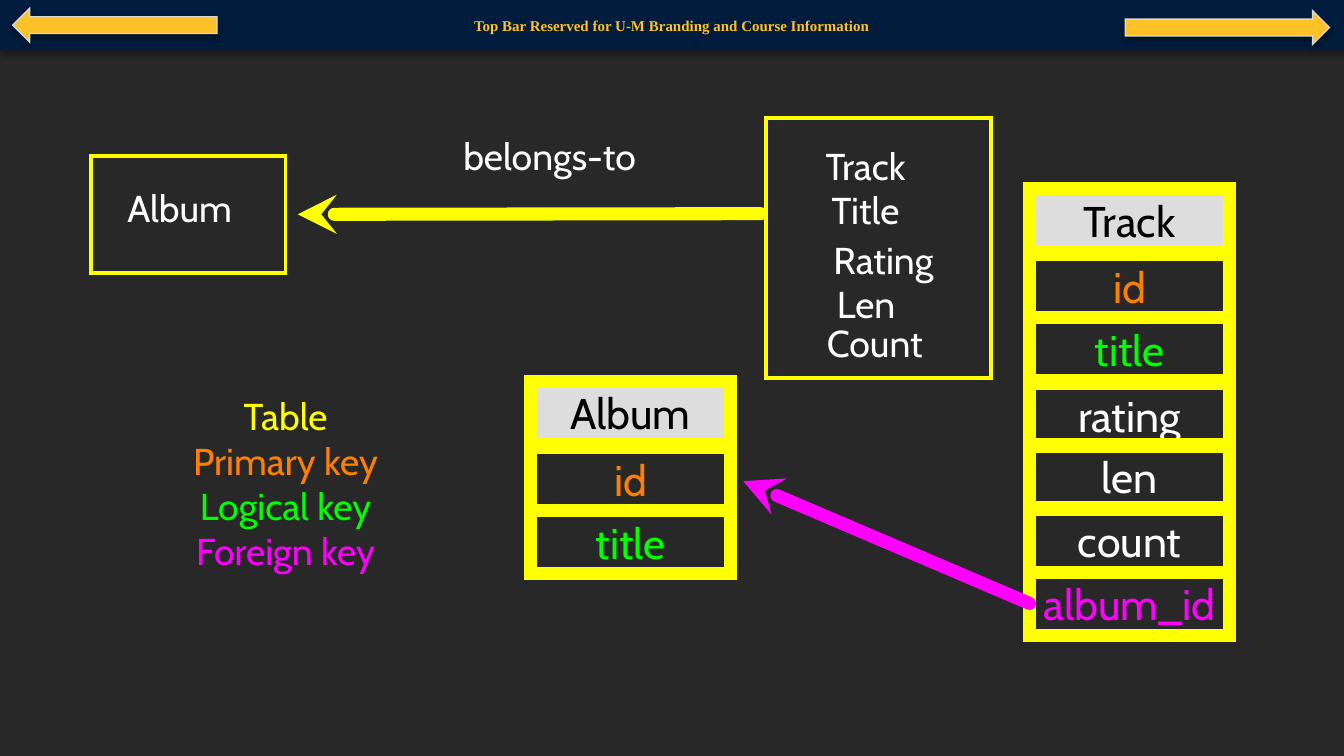
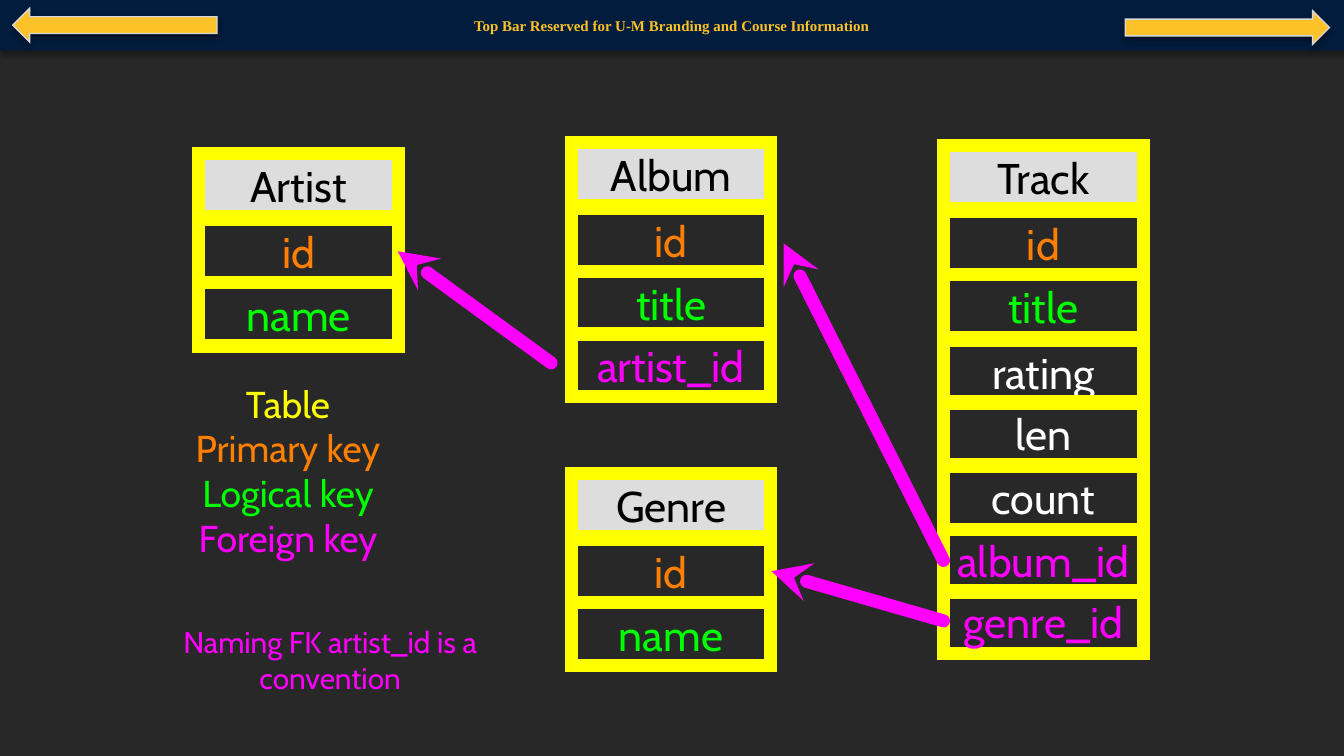
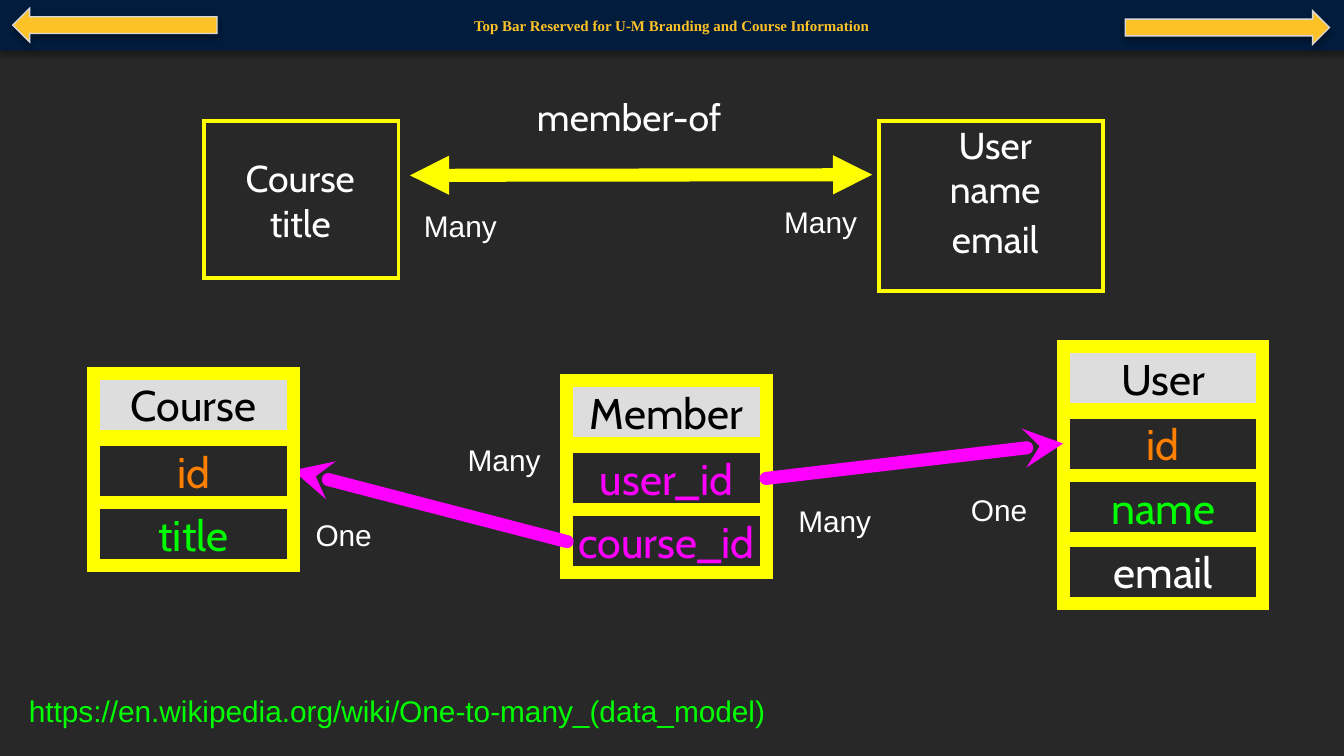
from dataclasses import dataclass

from lxml.etree import SubElement as Sub
from pptx import Presentation
from pptx.dml.color import RGBColor as RGB
from pptx.enum.shapes import MSO_CONNECTOR as Line, MSO_SHAPE as Shape
from pptx.enum.text import MSO_ANCHOR as Anchor, MSO_AUTO_SIZE as AutoSize, PP_ALIGN as Align
from pptx.oxml.ns import qn
from pptx.util import Inches, Pt


@dataclass(frozen=True)
class Theme:
    back: str = "282828"
    bar: str = "011C3C"
    gold: str = "FDC227"
    rim: str = "D8D8D8"
    head: str = "DDDDDD"
    black: str = "000000"
    plain: str = "FFFFFF"
    table: str = "FFFF00"
    primary: str = "FF7F00"
    logical: str = "00FF00"
    foreign: str = "FF00FF"
    font: str = "Cabin"
    note_font: str = "Arial"
    bar_font: str = "Times New Roman"
    cell_size: int = 23
    label_size: int = 20
    note_size: int = 16
    bar_size: int = 8
    thin: float = 2
    thick: float = 7


T = Theme()
prs = Presentation()
prs.slide_width = Inches(10)
prs.slide_height = prs.slide_width * 9 // 16
UNIT = prs.slide_width // 100


def put(s, at, lines, size, font=T.font, edge=0, fill=None, edge_color=T.table, shape=Shape.RECTANGLE):
    at = [round(v * UNIT) for v in at]
    if edge or fill:
        sp = s.shapes.add_shape(shape, *at)
        sp.shadow.inherit = False
        if fill:
            sp.fill.solid()
            sp.fill.fore_color.rgb = RGB.from_string(fill)
        else:
            sp.fill.background()
        if edge:
            sp.line.width = Pt(edge)
            sp.line.color.rgb = RGB.from_string(edge_color)
            Sub(sp.line._get_or_add_ln(), qn("a:miter"), lim="800000")
        else:
            sp.line.fill.background()
    else:
        sp = s.shapes.add_textbox(*at)
    tf = sp.text_frame
    tf.word_wrap = True
    tf.vertical_anchor = Anchor.MIDDLE
    tf.margin_left = tf.margin_right = tf.margin_top = tf.margin_bottom = 0
    for i, (text, color) in enumerate(lines):
        p = tf.add_paragraph() if i else tf.paragraphs[0]
        p.alignment = Align.CENTER
        r = p.add_run()
        r.text = text
        r.font.name = font
        r.font.size = Pt(size)
        r.font.color.rgb = RGB.from_string(color)
    return sp


def arrow(s, ends, color, **tips):
    c = s.shapes.add_connector(Line.STRAIGHT, *[round(v * UNIT) for v in ends])
    c.line.width = Pt(T.thick)
    c.line.color.rgb = RGB.from_string(color)
    ln = c.line._get_or_add_ln()
    ln.set("cap", "rnd")
    for tag, kind in tips.items():
        Sub(ln, qn(f"a:{tag}"), type=kind)
    Sub(c.element.spPr, qn("a:effectLst"))


belongs, music, members = [prs.slides.add_slide(prs.slide_layouts[6]) for _ in range(3)]

master = prs.slide_master
master.background.fill.solid()
master.background.fill.fore_color.rgb = RGB.from_string(T.back)
bar = put(belongs, (0, 0, 100, 3.75), [("Top Bar Reserved for U-M Branding and Course Information", T.gold)],
          T.bar_size, T.bar_font, fill=T.bar)
bar.text_frame.paragraphs[0].runs[0].font.bold = True
forward, back = [put(belongs, (x, y, 15.2, 2.5), [], T.bar_size, edge=0.75, fill=T.gold,
                     edge_color=T.rim, shape=Shape.RIGHT_ARROW) for x, y in ((83.72, 0.8), (0.95, 0.62))]
back.rotation = 180
for sp in (bar, forward, back):
    shadow = Sub(sp.element.spPr.find(qn("a:effectLst")), qn("a:outerShdw"),
                 blurRad=str(Pt(3.1)), dist=str(Pt(1.8)), dir="5400000", rotWithShape="0")
    Sub(Sub(shadow, qn("a:srgbClr"), val=T.black), qn("a:alpha"), val="35000")
    master.element.cSld.spTree.append(sp.element)

for s, at in (
    (belongs, (57, 8.8, 16.74, 19.34)),
    (belongs, (6.75, 11.6, 14.5, 8.7)),
    (members, (65.4, 9, 16.7, 12.65)),
    (members, (15.2, 9, 14.46, 11.7)),
):
    put(s, at, [], T.label_size, edge=T.thin)

for s, at, text in (
    (belongs, (8.52, 13.54, 9.7, 3.8), "Album"),
    (belongs, (33.1, 9.7, 15.6, 3.8), "belongs-to"),
    (belongs, (60.15, 10.4, 8.5, 3.8), "Track"),
    (belongs, (60.65, 13.7, 7.5, 3.8), "Title"),
    (belongs, (60.78, 17.4, 9.9, 3.8), "Rating"),
    (belongs, (61.25, 20.7, 6.4, 3.8), "Len"),
    (belongs, (61.1, 23.6, 8, 3.8), "Count"),
    (members, (17.5, 11.37, 9.7, 7), "Course\ntitle"),
    (members, (39.02, 6.8, 15.6, 3.8), "member-of"),
    (members, (69.8, 8.85, 8.5, 3.8), "User"),
    (members, (70.3, 12.1, 7.5, 3.8), "name"),
    (members, (69.1, 15.84, 9.9, 3.8), "email"),
):
    put(s, at, [(t, T.plain) for t in text.split("\n")], T.label_size)

arrow(belongs, (22.15, 15.95, 56.6, 15.9), T.table, headEnd="stealth")
arrow(members, (30.5, 13.05, 64.9, 13), T.table, headEnd="triangle", tailEnd="triangle")

ROW_TOPS = (0, 4.93, 9.62, 14.5, 19.06, 23.86, 28.54, 33.08)
FOUR_TOPS = (0, 4.9, 9.6, 14.42)
KEY_TOPS = (0, 4.9, 9.6, 14.2)
for s, tables, links in (
    (belongs,
     [(39.5, 28.36, ROW_TOPS, "Album id title"),
      (76.63, 14.03, ROW_TOPS, "Track id title rating len count album_id")],
     [(55.3, 35.8, 76.6, 44.9)]),
    (music,
     [(14.8, 11.43, ROW_TOPS, "Artist id name"),
      (42.52, 10.6, KEY_TOPS, "Album id title artist_id"),
      (42.52, 35.23, ROW_TOPS, "Genre id name"),
      (70.22, 10.83, ROW_TOPS, "Track id title rating len count album_id genre_id")],
     [(58.3, 18.1, 70.2, 41.7), (57.4, 42.5, 70.2, 46.2), (29.6, 18.7, 41, 27)]),
    (members,
     [(42.18, 28.3, ROW_TOPS, "Member user_id course_id"),
      (79.13, 25.77, FOUR_TOPS, "User id name email")],
     [(21.8, 35, 42.2, 40.3), (79.1, 33, 57, 35.6)]),
    (members, [(6.98, 27.77, ROW_TOPS, "Course id title")], []),
):
    for x, y, tops, names in tables:
        for i, (top, name) in enumerate(zip(tops, names.split())):
            if i == 0:
                color = T.black
            elif name == "id":
                color = T.primary
            elif name.endswith("_id"):
                color = T.foreign
            elif name in ("title", "name"):
                color = T.logical
            else:
                color = T.plain
            put(s, (x, y + top, 14.84, 4.7), [(name, color)], T.cell_size,
                edge=T.thick, fill=None if i else T.head)
    for ends in links:
        arrow(s, ends, T.foreign, headEnd="stealth")

legend = [("Table", T.table), ("Primary key", T.primary),
          ("Logical key", T.logical), ("Foreign key", T.foreign)]
for s, at in ((belongs, (11.5, 29.24, 19.5, 13.4)), (music, (10.48, 28.3, 21.9, 13.4))):
    put(s, at, legend, T.label_size)
put(music, (10.87, 46.3, 27.4, 5.6), [("Naming FK artist_id is a convention", T.foreign)], T.note_size)

for x, y, w, text, color in (
    (58.8, 37.1, 7, "Many", T.plain),
    (71.65, 36.3, 5.6, "One", T.plain),
    (57.75, 14.85, 7, "Many", T.plain),
    (30.95, 15.15, 7, "Many", T.plain),
    (22.88, 38.14, 5.6, "One", T.plain),
    (34.2, 32.6, 7, "Many", T.plain),
    (1.55, 51.24, 57, "https://en.wikipedia.org/wiki/One-to-many_(data_model)", T.logical),
):
    tf = put(members, (x, y, w, 3.3), [(text, color)], T.note_size, T.note_font).text_frame
    tf.word_wrap = False
    tf.auto_size = AutoSize.SHAPE_TO_FIT_TEXT
    tf.vertical_anchor = Anchor.TOP
    tf.margin_left = tf.margin_right = Inches(0.06)
    tf.margin_top = tf.margin_bottom = Inches(0.03)
    tf.paragraphs[0].alignment = Align.LEFT

prs.save("out.pptx")
